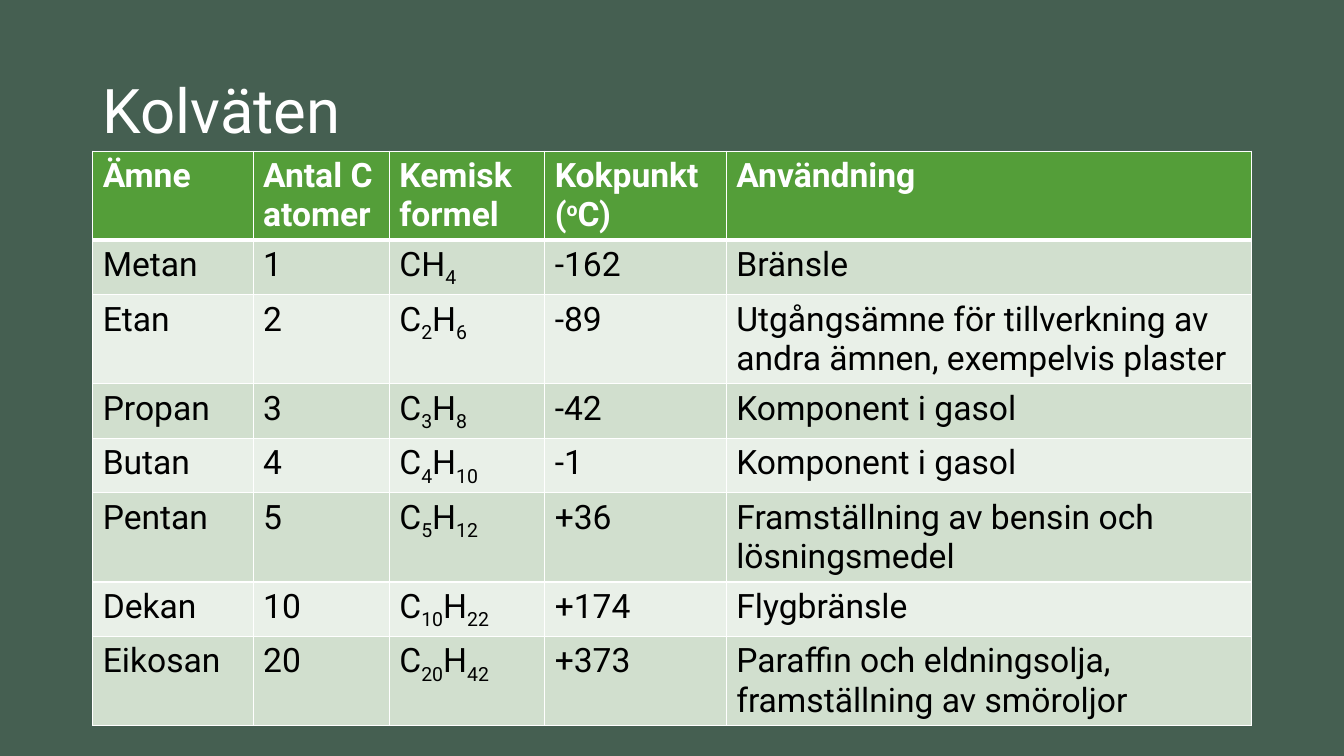
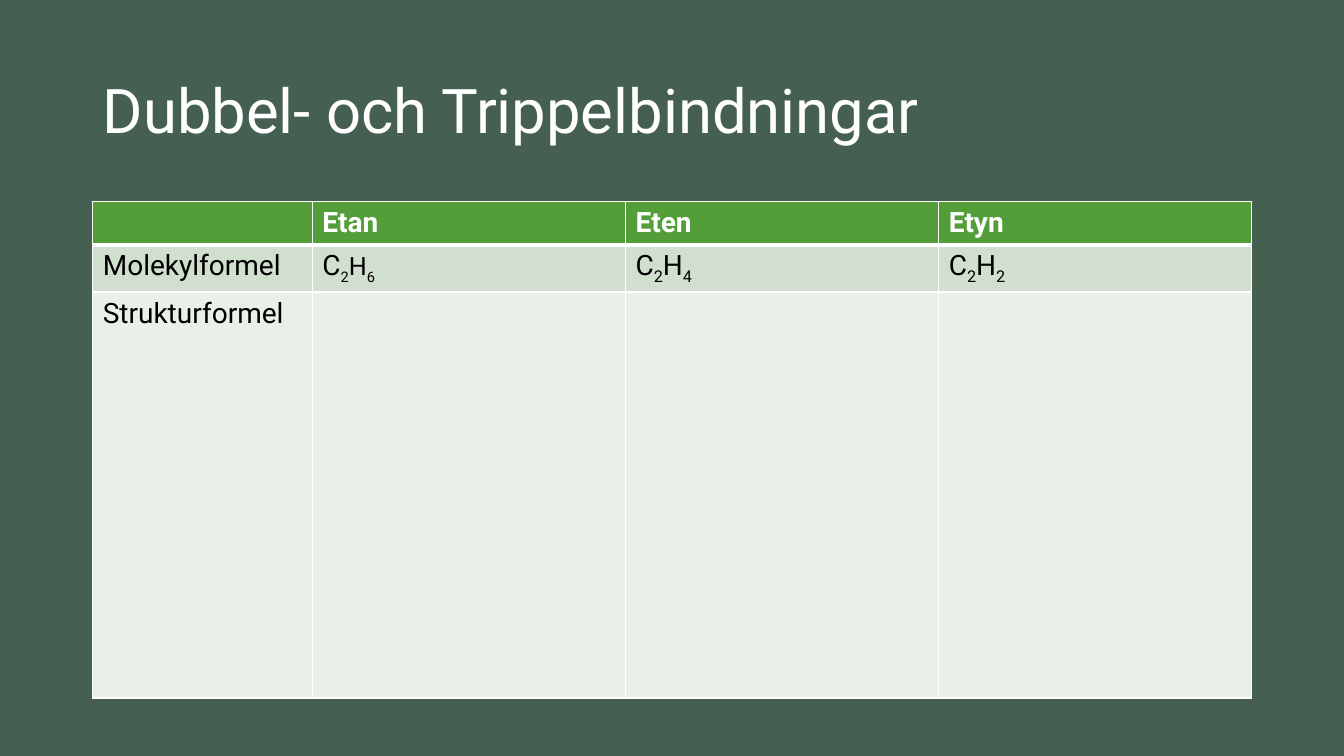
"""Build two slides on hydrocarbons, each a title above a table."""
from lxml import etree
from pptx import Presentation
from pptx.dml.color import RGBColor
from pptx.enum.text import MSO_ANCHOR, PP_ALIGN
from pptx.oxml.ns import qn
from pptx.util import Inches, Pt

LEFT = PP_ALIGN.LEFT
MIDDLE = MSO_ANCHOR.MIDDLE
WIDE, TALL = Inches(13.33), Inches(7.5)
FACE = "Roboto"
HUES = {
    "back": "455F51",
    "head": "549E39",
    "odd": "D1DFCE",
    "even": "E9F0E8",
    "light": "FFFFFF",
    "dark": "000000",
}
SIDE, SPAN = 6.9, 86.25
SHORT, LONG = 7.2, 11.75
SUB, SUPER = "-25000", "30000"

ALKANES = [
    ("Ämne", "Antal C atomer", "Kemisk formel", "Kokpunkt (|o|C)", "Användning"),
    ("Metan", "1", "CH|4", "-162", "Bränsle"),
    ("Etan", "2", "C|2|H|6", "-89",
     "Utgångsämne för tillverkning av andra ämnen, exempelvis plaster"),
    ("Propan", "3", "C|3|H|8", "-42", "Komponent i gasol"),
    ("Butan", "4", "C|4|H|10", "-1", "Komponent i gasol"),
    ("Pentan", "5", "C|5|H|12", "+36", "Framställning av bensin och lösningsmedel"),
    ("Dekan", "10", "C|10|H|22", "+174", "Flygbränsle"),
    ("Eikosan", "20", "C|20|H|42", "+373",
     "Paraffin och eldningsolja, framställning av smöroljor"),
]
BONDS = [
    ("", "Etan", "Eten", "Etyn"),
    ("Molekylformel", "C|2|H|6", "C|2|H|4", "C|2|H|2"),
    ("Strukturformel", "", "", ""),
]


def hue(name):
    return RGBColor.from_string(HUES[name])


def across(share):
    return round(WIDE * share / 100)


def down(share):
    return round(TALL * share / 100)


def style(para, size, tone, bold=False):
    font = para.font
    font.name, font.size, font.bold = FACE, Pt(size), bold
    font.color.rgb = hue(tone)


def add_slide(prs, text):
    slide = prs.slides.add_slide(prs.slide_layouts[5])
    title = slide.shapes.title
    title.left, title.top = across(SIDE), down(5.33)
    title.width, title.height = across(SPAN), down(19.33)
    frame = title.text_frame
    frame.text = text
    frame.vertical_anchor = MIDDLE
    para = frame.paragraphs[0]
    para.alignment, para.line_spacing = LEFT, 0.9
    style(para, 44, "light")
    return slide


def rule(cell, row):
    """Draw white cell borders, thick between the header and the body."""
    widths = {"lnL": 1, "lnR": 1, "lnT": 3 if row == 1 else 1,
              "lnB": 3 if row == 0 else 1}
    props = cell._tc.get_or_add_tcPr()
    for spot, (tag, width) in enumerate(widths.items()):
        line = etree.Element(qn("a:" + tag), w=str(Pt(width)))
        fill = etree.SubElement(line, qn("a:solidFill"))
        etree.SubElement(fill, qn("a:srgbClr"), val=HUES["light"])
        props.insert(spot, line)


def write(cell, text, size, head):
    """Write text whose every second part, split at bars, is shifted."""
    para = cell.text_frame.paragraphs[0]
    style(para, size, "light" if head else "dark", head)
    for i, part in enumerate(text.split("|")):
        if part:
            run = para.add_run()
            run.text = part
            if i % 2:
                shift = SUPER if head else SUB
                run._r.get_or_add_rPr().set("baseline", shift)


def add_grid(slide, top, cols, rows, data, size):
    """Add a table with column weights and row shares of slide height."""
    frame = slide.shapes.add_table(
        len(rows), len(cols), across(SIDE), down(top),
        across(SPAN), down(sum(rows)))
    table = frame.table
    table.horz_banding = False
    for col, share in zip(table.columns, cols):
        col.width = round(across(SPAN) * share / sum(cols))
    for r, (share, texts) in enumerate(zip(rows, data)):
        table.rows[r].height = down(share)
        tone = "head" if r == 0 else "odd" if r % 2 else "even"
        for c, text in enumerate(texts):
            cell = table.cell(r, c)
            cell.fill.solid()
            cell.fill.fore_color.rgb = hue(tone)
            rule(cell, r)
            write(cell, text, size, r == 0)
    return table


def main():
    prs = Presentation()
    prs.slide_width, prs.slide_height = WIDE, TALL
    back = prs.slide_master.background.fill
    back.solid()
    back.fore_color.rgb = hue("back")

    slide = add_slide(prs, "Kolväten")
    rows = [LONG, SHORT, LONG, SHORT, SHORT, LONG, SHORT, LONG]
    add_grid(slide, 20, [1.59, 1.35, 1.54, 1.8, 5.21], rows, ALKANES, 24)

    slide = add_slide(prs, "Dubbel- och Trippelbindningar")
    table = add_grid(slide, 26.67, [2.18, 3.11, 3.11, 3.11],
                     [5.6, 6.27, 53.7], BONDS, 20)
    for run in table.cell(1, 1).text_frame.paragraphs[0].runs[1:]:
        run.font.size = Pt(18)

    prs.save("out.pptx")


if __name__ == "__main__":
    main()
